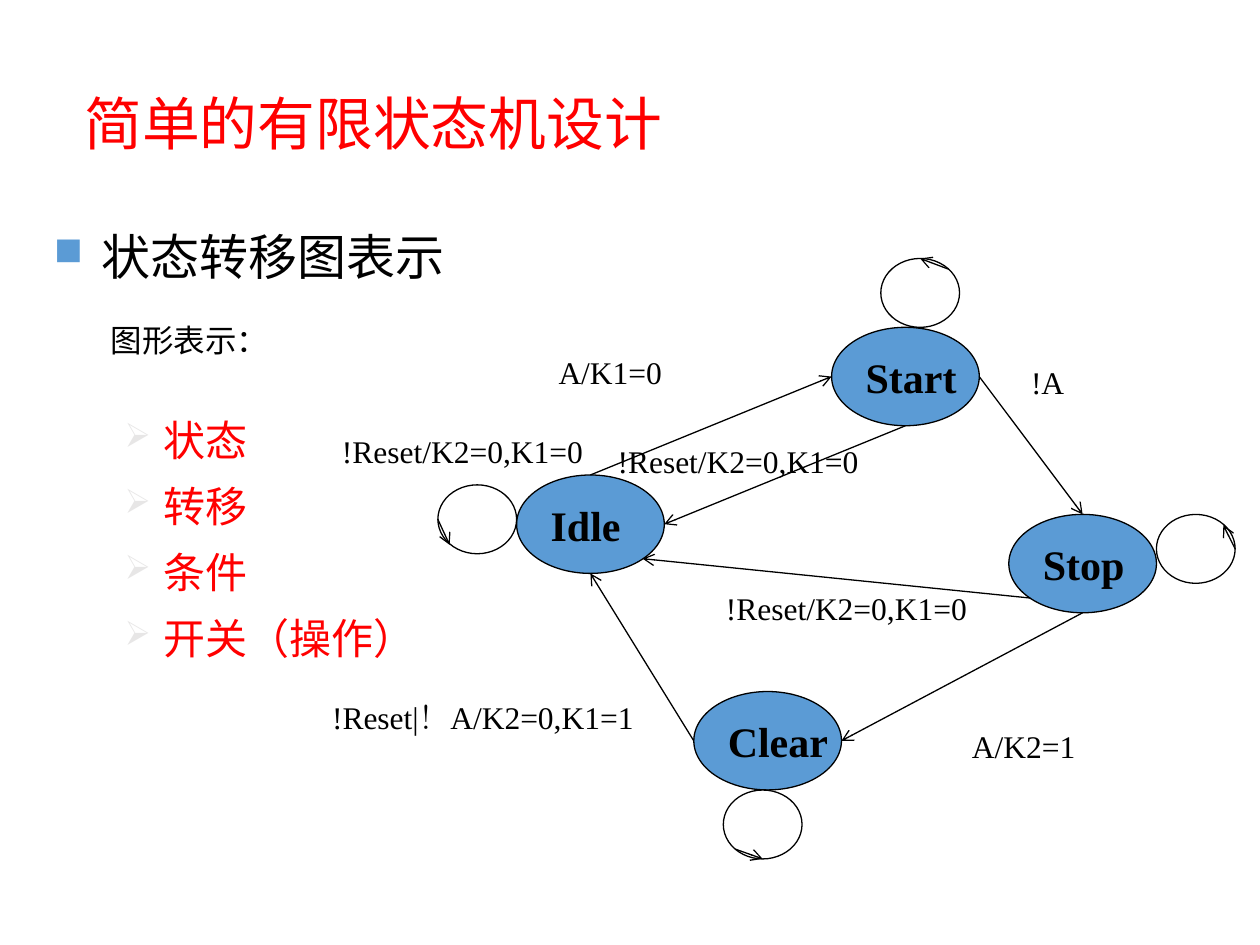
from lxml import etree
from pptx import Presentation
from pptx.dml.color import RGBColor
from pptx.enum.shapes import MSO_CONNECTOR, MSO_SHAPE
from pptx.enum.text import MSO_ANCHOR, MSO_AUTO_SIZE, PP_ALIGN
from pptx.oxml.ns import qn
from pptx.util import Inches, Pt

OVAL = MSO_SHAPE.OVAL
STRAIGHT = MSO_CONNECTOR.STRAIGHT
MIDDLE = MSO_ANCHOR.MIDDLE
LEFT = PP_ALIGN.LEFT
GROW = MSO_AUTO_SIZE.SHAPE_TO_FIT_TEXT
rgb = RGBColor.from_string
BLACK, RED, BLUE, WHITE, GREY = "000000", "FF0000", "5B9BD5", "FFFFFF", "E7E6E6"
SERIF = "Times New Roman"


def write(p, text, size, font, color=BLACK, bold=False):
    p.alignment = LEFT
    r = p.add_run()
    r.text = text
    r.font.size = Pt(size)
    r.font.bold = bold
    r.font.color.rgb = rgb(color)
    r.font.name = font
    etree.SubElement(r.font._element, qn("a:ea"), typeface=font)


def add_bullet(p, char, color, margin, hang):
    pPr = p._p.get_or_add_pPr()
    pPr.set("marL", str(Inches(margin)))
    pPr.set("indent", str(-Inches(hang)))
    clr = etree.SubElement(pPr, qn("a:buClr"))
    etree.SubElement(clr, qn("a:srgbClr"), val=color)
    etree.SubElement(pPr, qn("a:buSzPct"), val="80000")
    etree.SubElement(pPr, qn("a:buChar"), char=char)


prs = Presentation()
prs.slide_width, prs.slide_height = Inches(10), Inches(7.5)
s = prs.slides.add_slide(prs.slide_layouts[5])

title = s.shapes.title
title.left, title.top = Inches(0.57), Inches(0.28)
title.width, title.height = Inches(8.63), Inches(1.45)
tf = title.text_frame
tf.vertical_anchor = MIDDLE
p = tf.paragraphs[0]
p.line_spacing = 0.9
write(p, "简单的有限状态机设计", 33, "Calibri", RED)

tf = s.shapes.add_textbox(Inches(0.33), Inches(1.75), Inches(9.28), Inches(0.91)).text_frame
tf.word_wrap = True
p = tf.paragraphs[0]
add_bullet(p, "■", BLUE, 0.38, 0.38)
write(p, "状态转移图表示", 28, "Calibri")

tf = s.shapes.add_textbox(Inches(0.39), Inches(3.2), Inches(9.61), Inches(2.11)).text_frame
tf.word_wrap = True
tf.auto_size = GROW
for i, item in enumerate(["状态", "转移", "条件", "开关（操作）"]):
    p = tf.add_paragraph() if i else tf.paragraphs[0]
    p.level = 1
    add_bullet(p, "➢", GREY, 0.81, 0.31)
    p.line_spacing = 1.1
    p.space_before = Pt(6 if i else 0)
    write(p, item, 24, "Karla", RED)

tf = s.shapes.add_textbox(Inches(0.78), Inches(2.5), Inches(3.2), Inches(0.4)).text_frame
tf.word_wrap = True
tf.auto_size = GROW
write(tf.paragraphs[0], "图形表示：", 18, "Noto Sans CJK SC")

u = prs.slide_width // 128
x0, y0 = Inches(4.1), Inches(3.77)

states = [("Start", 32, -15), ("Stop", 50, 4), ("Clear", 18, 22), ("Idle", 0, 0)]
loops = [("", 37, -22), ("", 65, 4), ("", -8, 1), ("", 21, 32)]
for name, col, row in states + loops:
    w, h = (15, 10) if name else (8, 7)
    sp = s.shapes.add_shape(OVAL, x0 + col * u, y0 + row * u, w * u, h * u)
    sp.shadow.inherit = False
    sp.fill.solid()
    sp.fill.fore_color.rgb = rgb(BLUE if name else WHITE)
    sp.line.color.rgb = rgb(BLACK)
    sp.line.width = Pt(0.75)
    if name:
        tf = sp.text_frame
        tf.word_wrap = False
        tf.vertical_anchor = MIDDLE
        write(tf.paragraphs[0], name, 24, SERIF, bold=True)

arrows = [
    (47, -10, 57.5, 4),
    (57.5, 14, 33, 27),
    (18, 27, 7.5, 10),
    (7.5, 0, 32, -10),
    (39.5, -5, 15, 5),
    (52.2, 12.5, 12.8, 8.5),
    (43.9, -20.9, 41, -22),
    (73, 7.5, 71.8, 5.1),
    (-8, 4.5, -6.8, 7.1),
    (22.2, 38, 25, 39),
]
for c1, r1, c2, r2 in arrows:
    line = s.shapes.add_connector(
        STRAIGHT, int(x0 + c1 * u), int(y0 + r1 * u), int(x0 + c2 * u), int(y0 + r2 * u))
    line.line.color.rgb = rgb(BLACK)
    line.line.width = Pt(0.75)
    etree.SubElement(line.line._get_or_add_ln(), qn("a:tailEnd"), type="arrow")
    etree.SubElement(line._element.spPr, qn("a:effectLst"))

RESET = "!Reset/K2=0,K1=0"
labels = [
    ("A/K1=0", 3, -13, 15),
    (RESET, -19, -5, 29),
    (RESET, 9, -4, 29),
    ("!A", 51, -12, 29),
    (RESET, 20, 11, 29),
    ("A/K2=1", 45, 25, 15),
    ("!Reset|！A/K2=0,K1=1", -20, 22, 41),
]
for text, col, row, w in labels:
    tf = s.shapes.add_textbox(x0 + col * u, y0 + row * u, w * u, Inches(0.4)).text_frame
    tf.word_wrap = True
    tf.auto_size = GROW
    write(tf.paragraphs[0], text, 18, SERIF)

prs.save("out.pptx")
